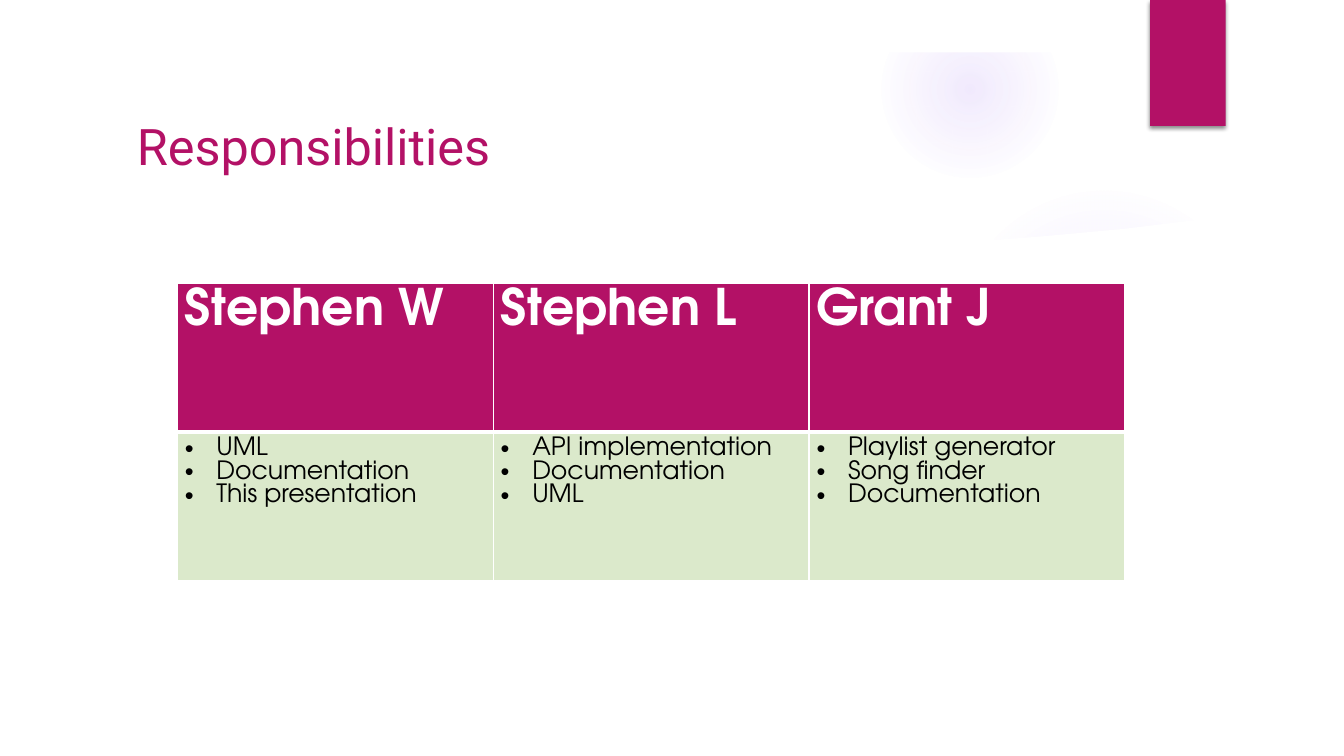
from lxml import etree
from pptx import Presentation
from pptx.dml.color import RGBColor
from pptx.enum.shapes import MSO_SHAPE
from pptx.enum.text import MSO_ANCHOR
from pptx.oxml import parse_xml
from pptx.oxml.ns import nsdecls, qn
from pptx.util import Pt

OVAL = MSO_SHAPE.OVAL
RECTANGLE = MSO_SHAPE.RECTANGLE
MIDDLE = MSO_ANCHOR.MIDDLE
COLORS = {"magenta": "B31166", "violet": "9B6BF2", "green": "DBE9CB",
          "white": "FFFFFF", "black": "000000"}
TITLE_FONT = "Roboto"
TABLE_FONT = "TeX Gyre Adventor"
WIDTH, HEIGHT, MARGIN = 960, 540, 37.5
WAVE = [(36, 147), (36, 504), (924.5, 504), (924.5, 147), (864, 156),
        (803, 163.5), (743, 169), (683, 173.5), (624, 176.5), (566, 178),
        (509, 178.6), (437, 178), (346, 175), (259, 170), (179, 163),
        (116, 157), (68, 151)]
DUTIES = {
    "Stephen W": ["UML", "Documentation", "This presentation"],
    "Stephen L": ["API implementation", "Documentation", "UML"],
    "Grant J": ["Playlist generator", "Song finder", "Documentation"],
}


def rgb(name):
    """Return the named colour."""
    return RGBColor.from_string(COLORS[name])


def paint(shape, color):
    """Give a shape a plain fill, without line or shadow."""
    shape.fill.solid()
    shape.fill.fore_color.rgb = rgb(color)
    shape.line.fill.background()
    shape.shadow.inherit = False


def add_glow(page, left, top, size, stops):
    """Add a round glow that fades outwards through (position, opacity) stops."""
    glow = page.shapes.add_shape(OVAL, Pt(left), Pt(top), Pt(size), Pt(size))
    paint(glow, "violet")
    marks = "".join(
        f'<a:gs pos="{position * 1000}"><a:srgbClr val="{COLORS["violet"]}">'
        f'<a:alpha val="{opacity * 1000}"/></a:srgbClr></a:gs>'
        for position, opacity in stops)
    gradient = parse_xml(
        f'<a:gradFill {nsdecls("a")}><a:gsLst>{marks}</a:gsLst><a:path path="circle">'
        '<a:fillToRect l="50000" t="50000" r="50000" b="50000"/></a:path></a:gradFill>')
    properties = glow.element.spPr
    properties.replace(properties.find(qn("a:solidFill")), gradient)


def add_cover(page, *outlines):
    """Add a white freeform made of closed outlines."""
    contours = [[(Pt(x), Pt(y)) for x, y in outline] for outline in outlines]
    builder = page.shapes.build_freeform(*contours[0][0])
    builder.add_line_segments(contours[0][1:], close=True)
    for contour in contours[1:]:
        builder.move_to(*contour[0])
        builder.add_line_segments(contour[1:], close=True)
    paint(builder.convert_to_shape(), "white")


def add_tab(page, left, top, width, height):
    """Add the coloured tab with its soft shadow."""
    tab = page.shapes.add_shape(RECTANGLE, Pt(left), Pt(top), Pt(width), Pt(height))
    paint(tab, "magenta")
    tab.element.spPr.find(qn("a:effectLst")).append(parse_xml(
        f'<a:outerShdw {nsdecls("a")} blurRad="{Pt(3)}" dist="{Pt(2)}" dir="5400000" '
        f'rotWithShape="0"><a:srgbClr val="{COLORS["black"]}"><a:alpha val="45000"/>'
        '</a:srgbClr></a:outerShdw>'))


def style_text(para, font, size, color, bold=False):
    """Format every run of a paragraph."""
    for span in para.runs:
        span.font.name = font
        span.font.size = Pt(size)
        span.font.bold = bold
        span.font.color.rgb = rgb(color)


def add_title(page, text):
    """Add the slide title."""
    box = page.shapes.add_textbox(Pt(90.7), Pt(76.3), Pt(690), Pt(55.4))
    frame = box.text_frame
    frame.word_wrap = True
    frame.vertical_anchor = MIDDLE
    frame.text = text
    style_text(frame.paragraphs[0], TITLE_FONT, 36, "magenta")


def add_bullet(para):
    """Give a paragraph a hanging round bullet."""
    properties = para._p.get_or_add_pPr()
    properties.set("marL", str(Pt(22.5)))
    properties.set("indent", str(-Pt(22.5)))
    color = etree.SubElement(properties, qn("a:buClr"))
    etree.SubElement(color, qn("a:srgbClr"), val=COLORS["black"])
    etree.SubElement(properties, qn("a:buFont"), typeface="Arial")
    etree.SubElement(properties, qn("a:buChar"), char="•")


def fill_cell(cell, text, color, top, bottom):
    """Set a cell's text, margins, fill and white borders."""
    cell.text = text
    cell.margin_left = cell.margin_right = Pt(5.4)
    cell.margin_top = cell.margin_bottom = Pt(3.6)
    cell.fill.solid()
    cell.fill.fore_color.rgb = rgb(color)
    properties = cell._tc.get_or_add_tcPr()
    widths = {"lnL": 1, "lnR": 1, "lnT": top, "lnB": bottom}
    for index, (side, width) in enumerate(widths.items()):
        properties.insert(index, parse_xml(
            f'<a:{side} {nsdecls("a")} w="{Pt(width)}"><a:solidFill>'
            f'<a:srgbClr val="{COLORS["white"]}"/></a:solidFill></a:{side}>'))


def add_duties(page, duties):
    """Add the table with one column per person."""
    table = page.shapes.add_table(2, len(duties), Pt(126.7), Pt(202.3),
                                  Pt(676.8), Pt(212.4)).table
    table.horz_banding = False
    for column, (person, tasks) in enumerate(duties.items()):
        header, body = table.cell(0, column), table.cell(1, column)
        fill_cell(header, person, "magenta", 1, 3)
        style_text(header.text_frame.paragraphs[0], TABLE_FONT, 36, "white", True)
        fill_cell(body, "\n".join(tasks), "green", 3, 1)
        for para in body.text_frame.paragraphs:
            style_text(para, TABLE_FONT, 18, "black")
            add_bullet(para)


def main():
    """Build the slide and save it."""
    deck = Presentation()
    deck.slide_width, deck.slide_height = Pt(WIDTH), Pt(HEIGHT)
    page = deck.slides.add_slide(deck.slide_layouts[6])
    add_glow(page, 677.5, 131.8, 221.8, [(0, 7), (36, 6), (69, 0)])
    add_glow(page, 630, 0.7, 126, [(0, 14), (36, 7), (73, 0)])
    add_cover(page, WAVE)
    right, bottom = WIDTH - MARGIN, HEIGHT - MARGIN
    add_cover(page, [(0, 0), (0, HEIGHT), (WIDTH, HEIGHT), (WIDTH, 0)],
              [(right, bottom), (MARGIN, bottom), (MARGIN, MARGIN), (right, MARGIN)])
    add_tab(page, 821.5, 0, 54, 90)
    add_title(page, "Responsibilities")
    add_duties(page, DUTIES)
    deck.save("out.pptx")


if __name__ == "__main__":
    main()
